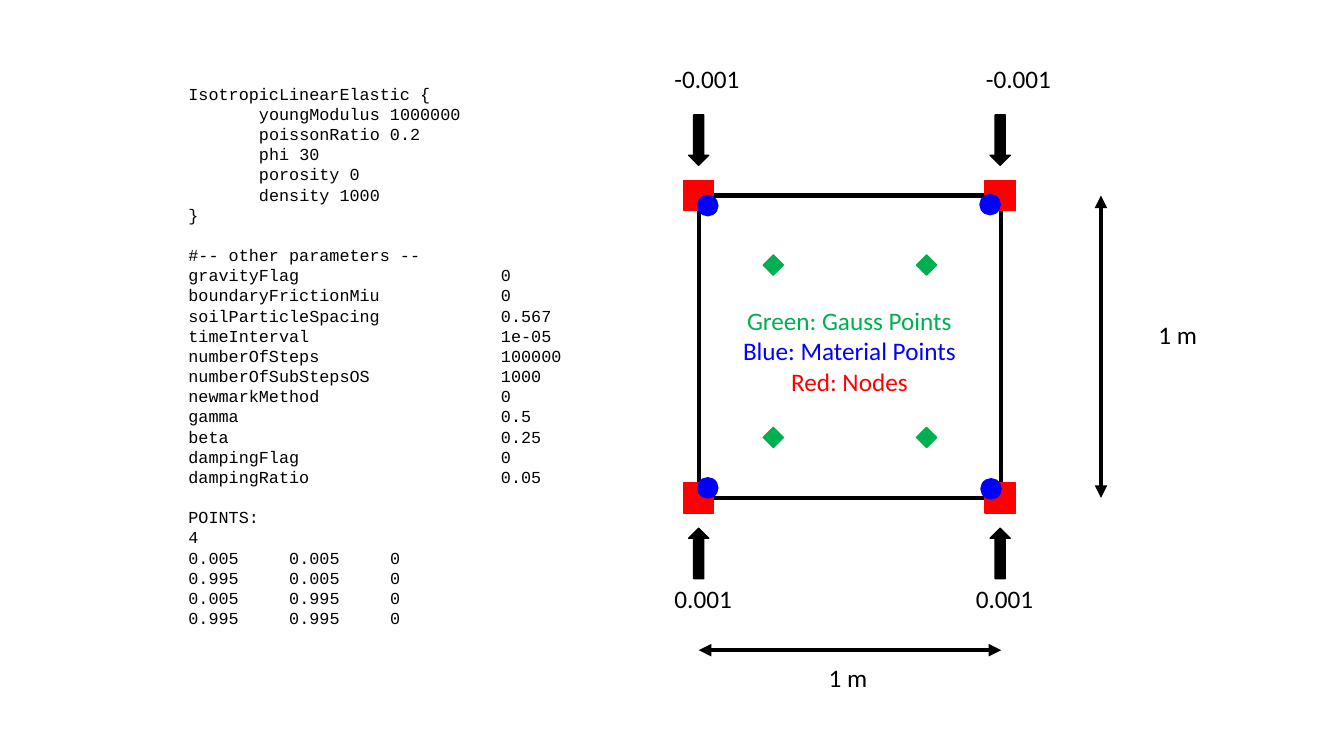
from lxml.etree import SubElement
from pptx import Presentation
from pptx.dml.color import RGBColor
from pptx.enum.shapes import MSO_CONNECTOR, MSO_SHAPE
from pptx.enum.text import MSO_AUTO_SIZE, PP_ALIGN
from pptx.oxml.ns import qn
from pptx.util import Inches, Pt

BLACK, RED, GREEN, BLUE = "000000", "FF0000", "00B050", "0000FF"
LEFT, TOP, SIDE = 6.93, 1.94, 3
RIGHT, BOTTOM = LEFT + SIDE, TOP + SIDE

prs = Presentation()
prs.slide_width, prs.slide_height = Inches(13.33), Inches(7.5)
slide = prs.slides.add_slide(prs.slide_layouts[6])


def add_mark(kind, x, y, w, h, fill, line, weight=1):
    mark = slide.shapes.add_shape(kind, Inches(x), Inches(y), Inches(w), Inches(h))
    mark.shadow.inherit = False
    mark.fill.solid()
    mark.fill.fore_color.rgb = RGBColor.from_string(fill)
    mark.line.color.rgb = RGBColor.from_string(line)
    mark.line.width = Pt(weight)
    return mark


def add_text(x, y, w, h, lines, size=18, font="Calibri", align=PP_ALIGN.LEFT):
    """Add a text box from (text, colour) lines and return its paragraphs."""
    frame = slide.shapes.add_textbox(Inches(x), Inches(y), Inches(w), Inches(h)).text_frame
    frame.word_wrap = True
    frame.auto_size = MSO_AUTO_SIZE.SHAPE_TO_FIT_TEXT
    for i, (text, color) in enumerate(lines):
        paragraph = frame.add_paragraph() if i else frame.paragraphs[0]
        paragraph.alignment = align
        run = paragraph.add_run()
        run.text = text
        for name, value in {"size": Pt(size), "name": font}.items():
            setattr(run.font, name, value)
        run.font.color.rgb = RGBColor.from_string(color)
    return frame.paragraphs


# Element with a node at each corner
add_mark(MSO_SHAPE.RECTANGLE, LEFT, TOP, SIDE, SIDE, "FFFFFF", BLACK, 3)
for x in (9.77, 6.78):
    for y in (1.79, 4.79):
        add_mark(MSO_SHAPE.RECTANGLE, x, y, 0.3, 0.3, RED, RED)

# Dimension lines
for ends in ((LEFT, 6.45, RIGHT, 6.45), (10.92, TOP, 10.92, BOTTOM)):
    dimension = slide.shapes.add_connector(MSO_CONNECTOR.STRAIGHT, *map(Inches, ends))
    dimension.line.color.rgb = RGBColor.from_string(BLACK)
    dimension.line.width = Pt(3)
    outline = dimension.line._get_or_add_ln()
    for end in ("a:headEnd", "a:tailEnd"):
        SubElement(outline, qn(end), type="triangle")
    SubElement(dimension._element.spPr, qn("a:effectLst"))
for x, y in ((11.39, 3.12), (8.12, 6.52)):
    add_text(x, y, 0.61, 0.4, [("1 m", BLACK)])

# Loads pressing on the nodes
for y, turn in ((1.14, 0), (5.24, 180)):
    for x in (6.83, 9.82):
        add_mark(MSO_SHAPE.DOWN_ARROW, x, y, 0.2, 0.5, BLACK, BLACK).rotation = turn
for x, y, load in ((6.59, 5.74, "0.001"), (9.58, 5.74, "0.001"),
                   (9.68, 0.58, "-0.001"), (6.59, 0.58, "-0.001")):
    add_text(x, y, 0.98, 0.4, [(load, BLACK)])

# Gauss points
for x in (9.09, 7.57):
    for y in (2.53, 4.24):
        add_mark(MSO_SHAPE.DIAMOND, x, y, 0.2, 0.2, GREEN, GREEN)

# Input file listing
material = ["youngModulus 1000000", "poissonRatio 0.2", "phi 30", "porosity 0", "density 1000"]
parameters = {
    "gravityFlag": "0",
    "boundaryFrictionMiu": "0",
    "soilParticleSpacing": "0.567",
    "timeInterval": "1e-05",
    "numberOfSteps": "100000",
    "numberOfSubStepsOS": "1000",
    "newmarkMethod": "0",
    "gamma": "0.5",
    "beta": "0.25",
    "dampingFlag": "0",
    "dampingRatio": "0.05",
}
points = [f"{x}\t{y}\t0" for y in ("0.005", "0.995") for x in ("0.005", "0.995")]
headings = ["#-- other parameters --", "POINTS:"]
listing = ["IsotropicLinearElastic {", *material, "}", headings[0],
           *(f"{name}\t{value}" for name, value in parameters.items()),
           headings[1], str(len(points)), *points]
for paragraph in add_text(1.77, 0.78, 4.91, 5.76, [(text, BLACK) for text in listing],
                          12, "Courier New"):
    paragraph.line_spacing = Pt(14.4)
    if paragraph.text in headings:
        paragraph.space_before = Pt(14.4)
    properties = paragraph._p.get_or_add_pPr()
    if paragraph.text in material:
        properties.set("marL", str(Inches(0.7)))
        properties.set("indent", "0")
    if "\t" in paragraph.text:
        stops = (1, 2) if paragraph.text in points else (3.1,)
        tabs = SubElement(properties, qn("a:tabLst"))
        for stop in stops:
            SubElement(tabs, qn("a:tab"), pos=str(Inches(stop)), algn="l")

# Material points
for x, y in ((6.92, 1.94), (6.92, 4.74), (9.73, 4.75), (9.72, 1.93)):
    add_mark(MSO_SHAPE.OVAL, x, y, 0.2, 0.2, BLUE, BLUE)

# Colour key
add_text(7.14, 2.98, 2.57, 1.01,
         [("Green: Gauss Points", GREEN), ("Blue: Material Points", BLUE), ("Red: Nodes", RED)],
         align=PP_ALIGN.CENTER)

prs.save("out.pptx")
